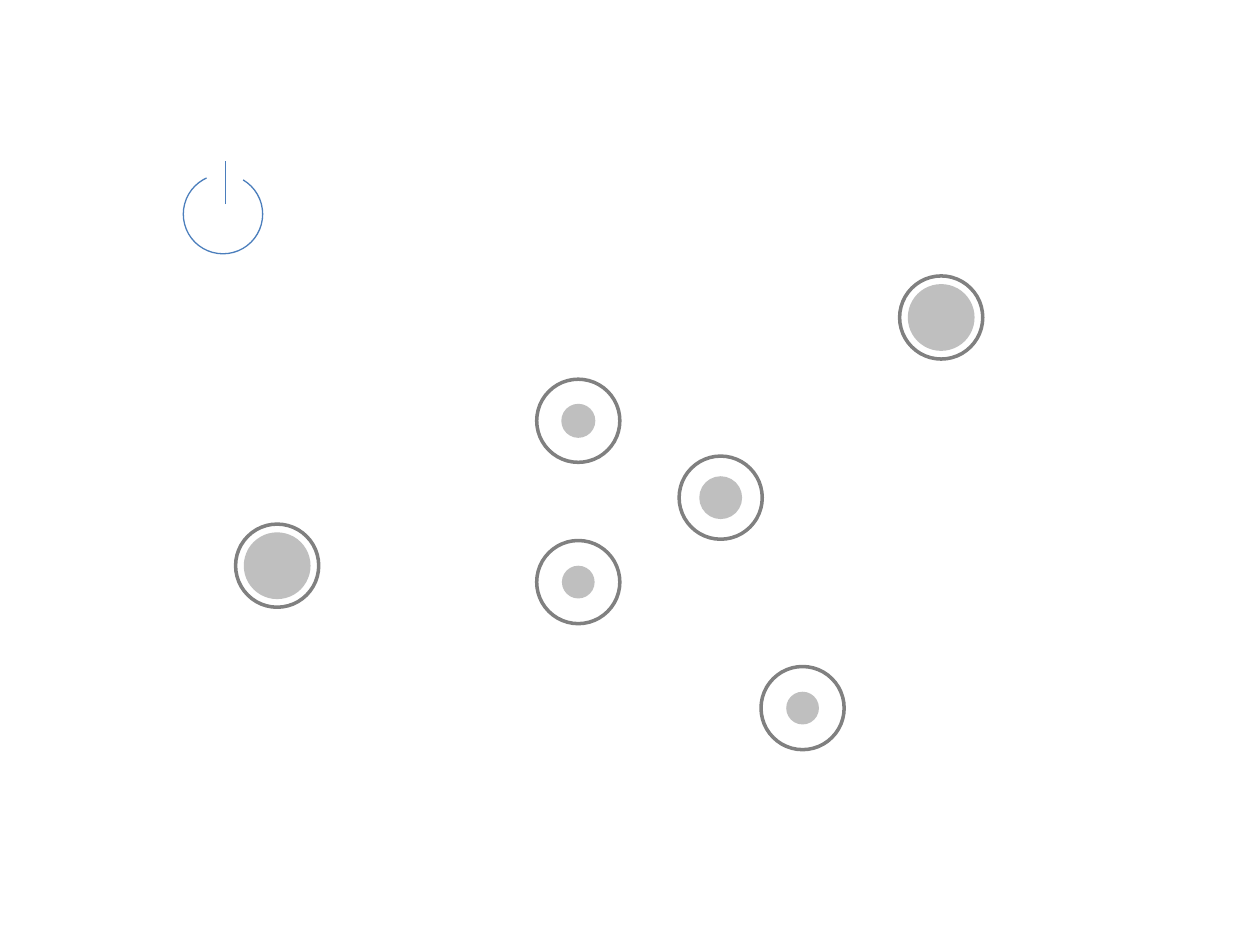
from dataclasses import dataclass

from lxml.etree import SubElement
from pptx import Presentation
from pptx.dml.color import RGBColor
from pptx.enum.shapes import MSO_CONNECTOR, MSO_SHAPE
from pptx.oxml.ns import qn
from pptx.util import Inches, Pt


@dataclass(frozen=True)
class Theme:
    dot: str = "BFBFBF"
    ring: str = "808080"
    power: str = "4B7EBC"
    thick: float = 2
    thin: float = 0.75


THEME = Theme()
RING = 0.66

# Centre x, centre y and dot size of each node
NODES = [
    (2.2, 4.49, 0.53),
    (5.72, 3.95, 0.34),
    (4.59, 3.34, 0.27),
    (4.59, 4.62, 0.26),
    (6.37, 5.62, 0.26),
    (7.47, 2.52, 0.53),
]


def style(line, hue, width):
    line.color.rgb = RGBColor.from_string(hue)
    line.width = Pt(width)


def add_round(slide, kind, x, y, size):
    """Add an unfilled round shape centred on x, y."""
    half = size / 2
    shape = slide.shapes.add_shape(
        kind, Inches(x - half), Inches(y - half), Inches(size), Inches(size))
    shape.shadow.inherit = False
    shape.fill.background()
    return shape


def add_node(slide, x, y, size):
    """Add a grey dot inside a ring."""
    dot = add_round(slide, MSO_SHAPE.OVAL, x, y, size)
    dot.fill.solid()
    dot.fill.fore_color.rgb = RGBColor.from_string(THEME.dot)
    dot.line.fill.background()
    ring = add_round(slide, MSO_SHAPE.OVAL, x, y, RING)
    style(ring.line, THEME.ring, THEME.thick)


def add_power(slide):
    """Add the power sign: an open arc and an upright bar."""
    arc = add_round(slide, MSO_SHAPE.ARC, 1.77, 1.7, 0.63)
    # Angles are in 60000ths of a degree, adjustments in 100000ths
    for i, angle in enumerate((300.5, 245.57)):
        arc.adjustments[i] = angle * 0.6
    style(arc.line, THEME.power, THEME.thin)

    bar = slide.shapes.add_connector(
        MSO_CONNECTOR.STRAIGHT,
        Inches(1.79), Inches(1.62), Inches(1.79), Inches(1.28))
    style(bar.line, THEME.power, THEME.thin)
    SubElement(bar._element.spPr, qn("a:effectLst"))


def main():
    deck = Presentation()
    size = {"slide_width": Inches(10), "slide_height": Inches(7.5)}
    for name, value in size.items():
        setattr(deck, name, value)
    slide = deck.slides.add_slide(deck.slide_layouts[6])

    # Nodes
    for node in NODES:
        add_node(slide, *node)

    # Power sign
    add_power(slide)

    deck.save("out.pptx")


if __name__ == "__main__":
    main()
